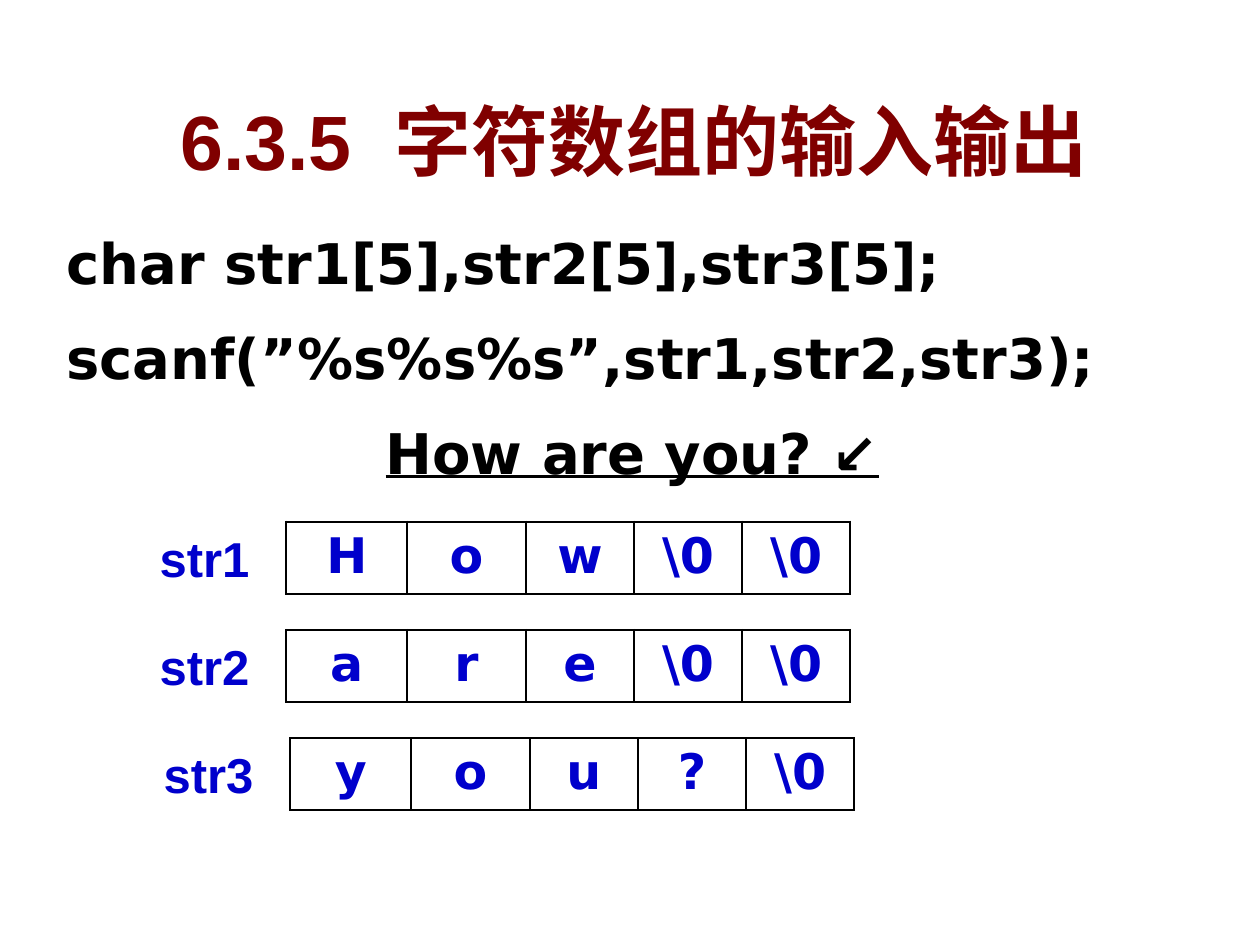
from lxml import etree
from pptx import Presentation
from pptx.dml.color import RGBColor
from pptx.enum import text
from pptx.oxml import ns
from pptx.util import Cm, Pt

WHITE = RGBColor(0xFF, 0xFF, 0xFF)
BLACK = RGBColor(0, 0, 0)
MAROON = RGBColor(0x80, 0, 0)
BLUE = RGBColor(0, 0, 0xCC)
SHADOW = RGBColor(0xC0, 0xC0, 0xC0)
CODE_FONT = "DejaVu Sans"
LABEL_FONT = "Arial"
COLUMN_WIDTHS = (2.44, 2.39, 2.18, 2.18, 2.18)
STRINGS = (
    ("str1", ("H", "o", "w", "\\0", "\\0"), 0),
    ("str2", ("a", "r", "e", "\\0", "\\0"), 0),
    ("str3", ("y", "o", "u", "?", "\\0"), 0.08),
)


def style_paragraph(paragraph, size, name, color, centered=False):
    """Give a paragraph its bold font and its alignment."""
    paragraph.alignment = text.PP_ALIGN.CENTER if centered else text.PP_ALIGN.LEFT
    font = paragraph.font
    font.size, font.name, font.bold = Pt(size), name, True
    font.color.rgb = color


def add_text_frame(slide, left, top, width, height):
    """Add a wrapping text box and return its text frame."""
    box = slide.shapes.add_textbox(Cm(left), Cm(top), Cm(width), Cm(height))
    box.text_frame.word_wrap = True
    return box.text_frame


def add_text_shadow(run):
    """Cast a soft grey shadow down and to the right of a run."""
    effects = etree.SubElement(run.font._element, ns.qn("a:effectLst"))
    shadow = etree.SubElement(
        effects, ns.qn("a:outerShdw"), dist=str(Pt(2)), dir="2700000"
    )
    etree.SubElement(shadow, ns.qn("a:srgbClr"), val=str(SHADOW))


def add_title(slide, left, top, width, height):
    """Add the shadowed title, with a wider gap after its number."""
    frame = add_text_frame(slide, left, top, width, height)
    frame.vertical_anchor = text.MSO_ANCHOR.MIDDLE
    paragraph = frame.paragraphs[0]
    style_paragraph(paragraph, 44, LABEL_FONT, MAROON, centered=True)
    for part in ("6.3.5", " ", "字符数组的输入输出"):
        run = paragraph.add_run()
        run.text = part
        add_text_shadow(run)
    paragraph.runs[1].font._element.set("spc", "1200")


def add_code(slide, left, top, width, height):
    """Add the two statements and the underlined keyboard input."""
    lines = (
        ("char str1[5],str2[5],str3[5];", False),
        ("scanf(”%s%s%s”,str1,str2,str3);", False),
        ("How are you? ↙", True),
    )
    frame = add_text_frame(slide, left, top, width, height)
    for index, (line, is_input) in enumerate(lines):
        paragraph = frame.add_paragraph() if index else frame.paragraphs[0]
        paragraph.text = line
        paragraph.line_spacing = 1.2
        if index:
            paragraph.space_before = Pt(8)
        properties = paragraph._p.get_or_add_pPr()
        properties.set("marL", str(Cm(0.97)))
        properties.set("indent", str(-Cm(0.97)))
        style_paragraph(paragraph, 32, CODE_FONT, BLACK, centered=is_input)
        if is_input:
            paragraph.font.underline = True


def add_borders(cell):
    """Draw a thin black line on each side of a cell."""
    properties = cell._tc.get_or_add_tcPr()
    for side in ("lnL", "lnR", "lnT", "lnB"):
        line = etree.SubElement(properties, ns.qn(f"a:{side}"), w=str(Pt(1.47)))
        fill = etree.SubElement(line, ns.qn("a:solidFill"))
        etree.SubElement(fill, ns.qn("a:srgbClr"), val=str(BLACK))


def add_string_row(slide, left, top, height, name, characters):
    """Add an array's name and, to its right, its cells."""
    table_left = left + 2.8
    frame = slide.shapes.add_table(
        1, len(characters), Cm(table_left), Cm(top), Cm(sum(COLUMN_WIDTHS)), Cm(height)
    )
    table = frame.table
    table.first_row = table.horz_banding = False
    for column, width in zip(table.columns, COLUMN_WIDTHS):
        column.width = Cm(width)
    for cell, character in zip(table.iter_cells(), characters):
        add_borders(cell)
        cell.fill.solid()
        cell.fill.fore_color.rgb = WHITE
        cell.text = character
        style_paragraph(
            cell.text_frame.paragraphs[0], 28, CODE_FONT, BLUE, centered=True
        )
    label = add_text_frame(slide, left, top, 2.59, height)
    label.text = name
    style_paragraph(label.paragraphs[0], 28, LABEL_FONT, BLUE)


def main():
    """Build the slide and save it."""
    presentation = Presentation()
    presentation.slide_width, presentation.slide_height = Cm(25.4), Cm(19.05)
    slide = presentation.slides.add_slide(presentation.slide_layouts[6])
    add_code(slide, 1.09, 4.22, 23.32, 7.75)
    add_title(slide, 0.79, 1.75, 24, 2.13)
    for index, (name, characters, shift) in enumerate(STRINGS):
        add_string_row(
            slide, 2.97 + shift, 10.52 + index * 2.18, 1.45, name, characters
        )
    presentation.save("out.pptx")


if __name__ == "__main__":
    main()
